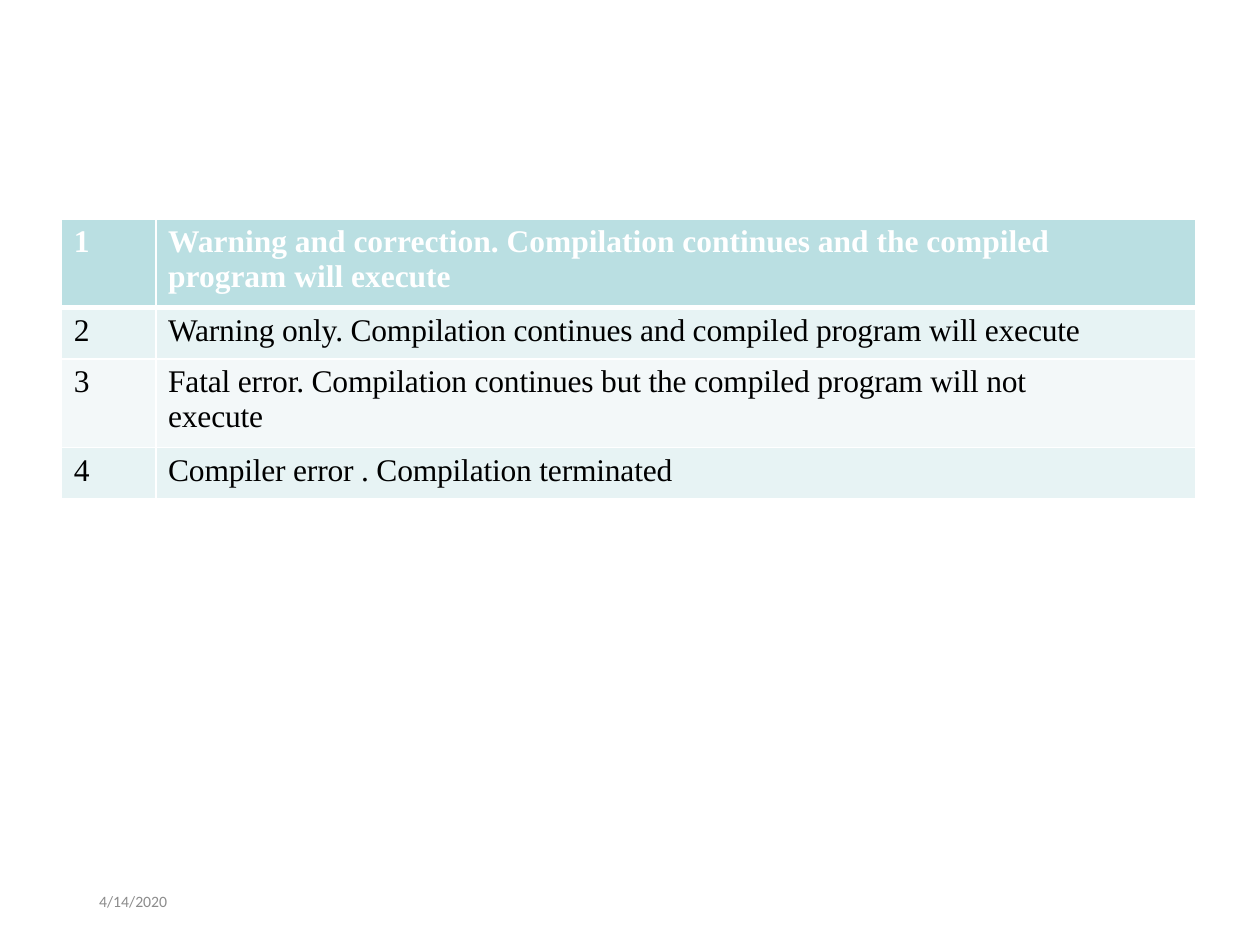
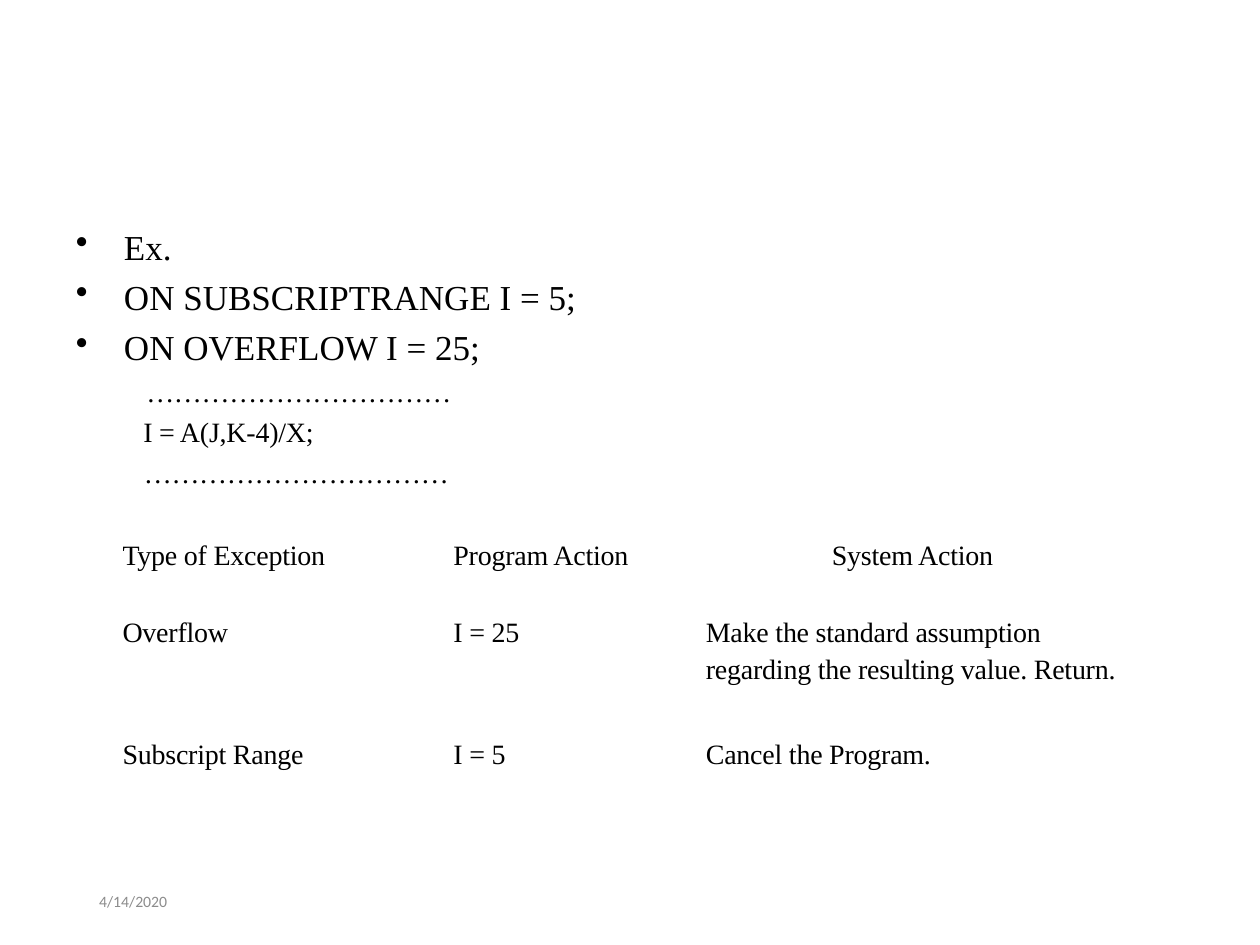
import dataclasses

import pptx
import pptx.dml.color
import pptx.enum.text
import pptx.oxml
import pptx.oxml.ns
import pptx.util

Cm, Pt = pptx.util.Cm, pptx.util.Pt
BLANK_LAYOUT = 6


@dataclasses.dataclass(frozen=True)
class Theme:
    body_font: str = "Times New Roman"
    date_font: str = "Calibri"
    ink: str = "000000"
    white: str = "FFFFFF"
    grey: str = "8C8C8C"
    header: str = "BADFE2"
    bands: tuple = ("E7F3F4", "F3F8F9")
    bullet_size: float = 20
    severity_size: float = 18
    code_size: float = 16
    date_size: float = 9
    tracking: float = -0.1


class Deck:
    """Holds the theme and the slide being built."""

    def __init__(self, theme):
        self.theme = theme
        self.deck = pptx.Presentation()
        self.deck.slide_width, self.deck.slide_height = Cm(25.4), Cm(19.05)
        self.slide = None

    def new_slide(self):
        self.slide = self.deck.slides.add_slide(self.deck.slide_layouts[BLANK_LAYOUT])
        self.date("4/14/2020")

    def add_runs(self, paragraph, text, size, color=None, font=None, bold=False, tracking=0):
        """Add the lines of a text as styled runs, with breaks between them."""
        for number, line in enumerate(text.split("\n")):
            if number:
                paragraph.add_line_break()
            run = paragraph.add_run()
            run.text = line
            run.font.size, run.font.bold = Pt(size), bold
            run.font.name = font or self.theme.body_font
            run.font.color.rgb = pptx.dml.color.RGBColor.from_string(color or self.theme.ink)
            if tracking:
                run._r.get_or_add_rPr().set("spc", str(round(tracking * 100)))

    def text_box(self, left, top, width, height):
        frame = self.slide.shapes.add_textbox(Cm(left), Cm(top), Cm(width), Cm(height)).text_frame
        frame.word_wrap = True
        return frame

    def date(self, text):
        frame = self.text_box(1.75, 17.65, 5.72, 1.02)
        frame.vertical_anchor = pptx.enum.text.MSO_ANCHOR.MIDDLE
        self.add_runs(frame.paragraphs[0], text, self.theme.date_size, self.theme.grey,
                      self.theme.date_font)

    def indent(self, paragraph, left, first, bullet=None):
        properties = paragraph._p.get_or_add_pPr()
        properties.set("marL", str(Cm(left)))
        properties.set("indent", str(Cm(first)))
        if bullet:
            properties.append(pptx.oxml.parse_xml(
                f'<a:buChar {pptx.oxml.ns.nsdecls("a")} char="{bullet}"/>'))

    def table(self, left, top, widths, heights):
        table = self.slide.shapes.add_table(
            len(heights), len(widths), Cm(left), Cm(top),
            Cm(sum(widths)), Cm(sum(heights))).table
        table.first_row = table.horz_banding = False
        for column, width in zip(table.columns, widths):
            column.width = Cm(width)
        for row, height in zip(table.rows, heights):
            row.height = Cm(height)
        return table

    def cell(self, cell, text, size, left, top, right=0, fill=None, spacing=None, **style):
        """Fill one cell; each line of the text is a paragraph."""
        cell.margin_left, cell.margin_top = Cm(left), Cm(top)
        cell.margin_right, cell.margin_bottom = Cm(right), 0
        if fill:
            cell.fill.solid()
            cell.fill.fore_color.rgb = pptx.dml.color.RGBColor.from_string(fill)
        else:
            cell.fill.background()
        frame = cell.text_frame
        for number, line in enumerate(text.split("\n")):
            paragraph = frame.add_paragraph() if number else frame.paragraphs[0]
            if spacing:
                paragraph.line_spacing = spacing
            self.add_runs(paragraph, line, size, **style)

    def borders(self, cell, **widths):
        """Draw white cell edges; widths in points by side, L, R, T, B."""
        properties = cell._tc.get_or_add_tcPr()
        for position, side in enumerate("LRTB"):
            properties.insert(position, pptx.oxml.parse_xml(
                f'<a:ln{side} {pptx.oxml.ns.nsdecls("a")} w="{Pt(widths.get(side, 1))}">'
                f'<a:solidFill><a:srgbClr val="{self.theme.white}"/></a:solidFill></a:ln{side}>'))


def severity_slide(deck):
    theme = deck.theme
    deck.new_slide()

    # Error severity levels
    levels = [
        "Warning and correction. Compilation continues and the compiled program will execute",
        "Warning only. Compilation continues and compiled program will execute",
        "Fatal error. Compilation continues but the compiled program will not\nexecute",
        "Compiler error . Compilation terminated",
    ]
    table = deck.table(1.24, 4.42, [1.9, 20.96], [1.78, 1.04, 1.78, 1.04])
    for row, meaning in enumerate(levels):
        if row == 0:
            style = dict(fill=theme.header, color=theme.white, bold=True)
            edges = dict(B=3)
        else:
            style = dict(fill=theme.bands[(row - 1) % 2], tracking=theme.tracking)
            edges = dict(T=3) if row == 1 else {}
        for column, (text, right) in enumerate([(str(row + 1), 0), (meaning, 1.3)]):
            cell = table.cell(row, column)
            deck.cell(cell, text, theme.severity_size, 0.25, 0.11, right, **style)
            deck.borders(cell, **edges)


def exception_slide(deck):
    theme = deck.theme
    deck.new_slide()

    # Code example: text, size, left indent, first-line indent, space before, bullet
    dots = "…" * 11
    example = [
        ("Ex.", theme.bullet_size, 1, -0.97, 0, "•"),
        ("ON SUBSCRIPTRANGE I = 5;", theme.bullet_size, 1, -0.97, 4.8, "•"),
        ("ON OVERFLOW I = 25;", theme.bullet_size, 1, -0.97, 4.8, "•"),
        (f"{dots}\nI = A(J,K-4)/X;", theme.code_size, 1.39, 0.06, 0, None),
        (dots, theme.code_size, 1.4, 0, 3.9, None),
    ]
    frame = deck.text_box(1.5, 4.34, 10.13, 5.56)
    frame.margin_left = frame.margin_right = frame.margin_bottom = 0
    frame.margin_top = Cm(0.2)
    for number, (text, size, left, first, before, bullet) in enumerate(example):
        paragraph = frame.add_paragraph() if number else frame.paragraphs[0]
        paragraph.space_before = Pt(before)
        if not bullet:
            paragraph.line_spacing = 1.2 if "\n" in text else 1.0
        deck.indent(paragraph, left, first, bullet)
        deck.add_runs(paragraph, text, size, tracking=0 if bullet else theme.tracking)

    # Actions taken for each exception, with the top inset and line spacing of each row
    actions = [
        (("Type of Exception", "Program Action", "System Action"), 0, Pt(17.4)),
        (("Overflow", "I = 25",
          "Make the standard assumption regarding the resulting value. Return."), 0.43, None),
        (("Subscript Range", "I = 5", "Cancel the Program."), 0.43, Pt(18.4)),
    ]
    table = deck.table(2.39, 10.9, [5.51, 5.59, 9.27], [1.12, 2.44, 1.12])
    for row, (texts, top, spacing) in enumerate(actions):
        for column, text in enumerate(texts):
            left = (0.08, 1.24, 0.74 if row else 3.28)[column]
            wraps = (row, column) == (1, 2)
            deck.cell(table.cell(row, column), text, theme.code_size, left,
                      0.3 if wraps else top, spacing=1.2 if wraps else spacing,
                      tracking=theme.tracking)


def main():
    deck = Deck(Theme())
    severity_slide(deck)
    exception_slide(deck)
    deck.deck.save("out.pptx")


if __name__ == "__main__":
    main()
